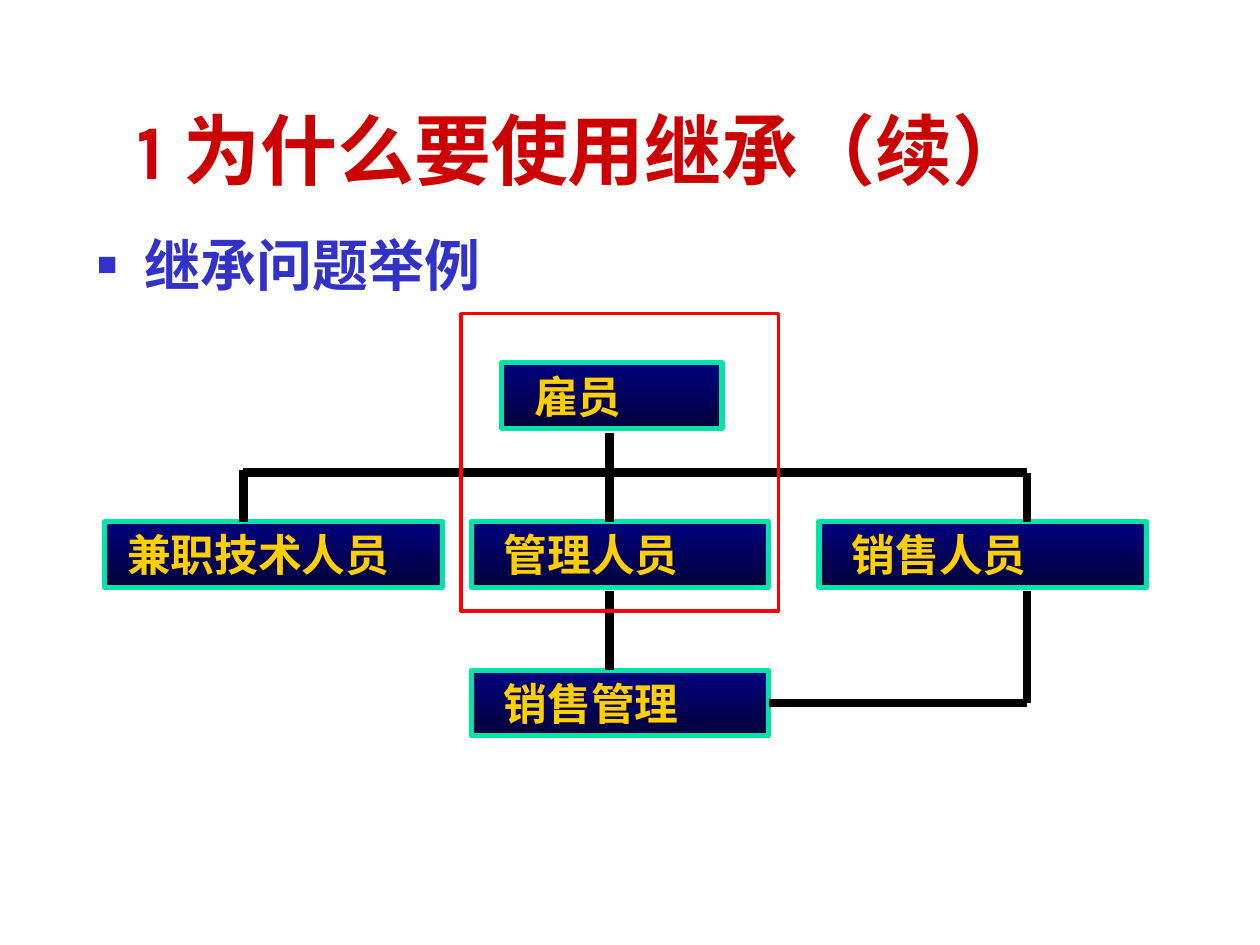
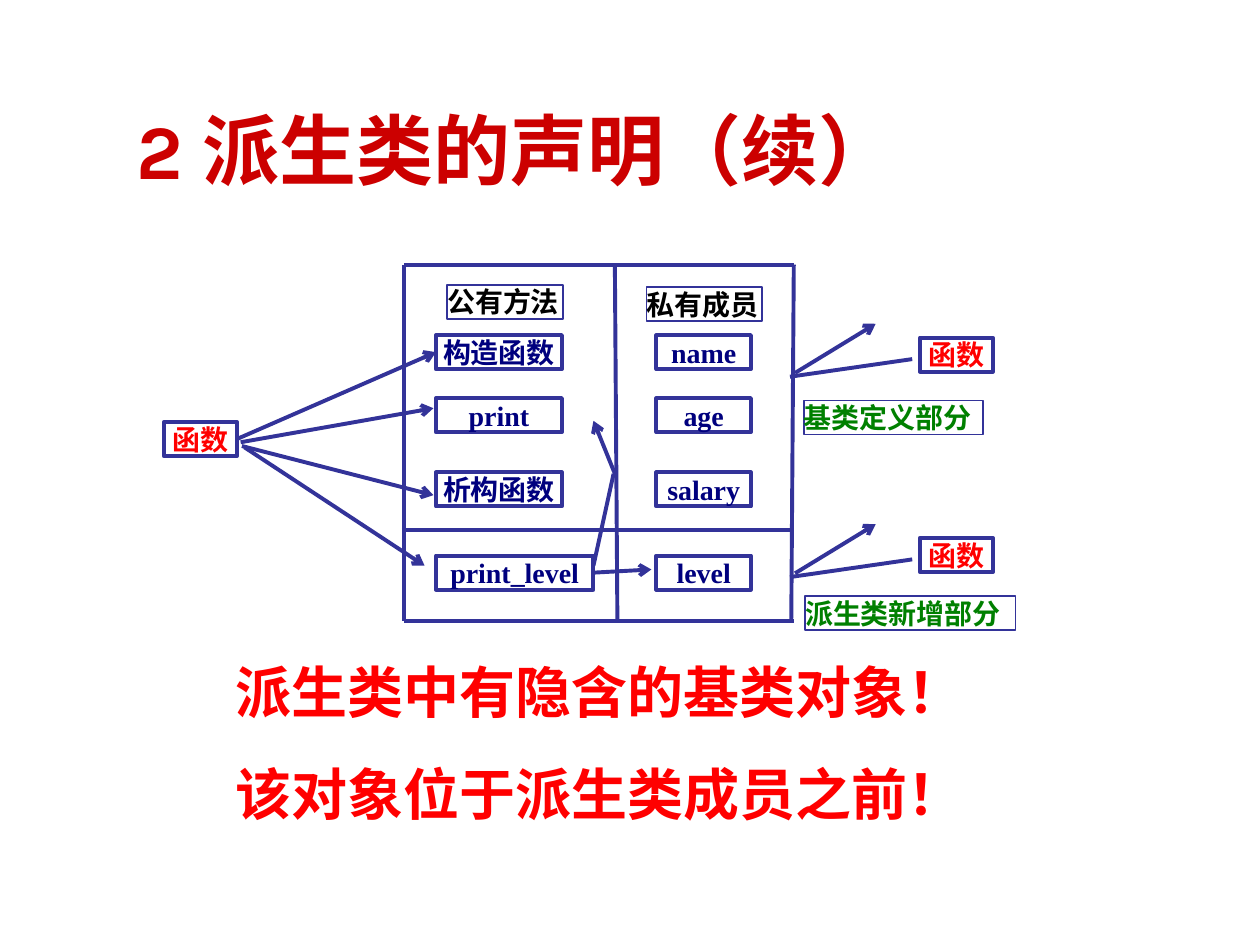
from lxml.etree import SubElement
from pptx import Presentation
from pptx.dml.color import RGBColor
from pptx.enum.shapes import MSO_CONNECTOR as Connector, MSO_SHAPE as Shape
from pptx.enum.text import MSO_ANCHOR as Anchor, MSO_AUTO_SIZE as AutoSize, PP_ALIGN as Align
from pptx.oxml.ns import qn
from pptx.util import Inches, Pt

RED, NAVY, INDIGO, GREEN, BLACK = "FF0000", "00007E", "333399", "008000", "000000"
CJK_FONT = "Noto Sans CJK SC"
TITLE = {"size": 44, "name": "Karla", "color": "CC0000"}
LIST = {"size": 32, "name": "Karla", "color": "3232C8"}
NOTE = {"size": 32, "name": "Karla", "color": RED}
NODE = {"size": 25, "name": CJK_FONT, "color": "FFCF01"}
MEMBER = {"size": 16, "name": "Times New Roman", "color": NAVY}
BOX_HEIGHT = 0.27


def rgb(value):
    return RGBColor.from_string(value)


def assign(target, values):
    for name, value in values.items():
        setattr(target, name, value)


def place(shape, left, top, width, height):
    assign(shape, {"left": Inches(left), "top": Inches(top),
                   "width": Inches(width), "height": Inches(height)})


def format_frame(frame, anchor, insets):
    sides = ("margin_left", "margin_top", "margin_right", "margin_bottom")
    assign(frame, {"word_wrap": True, "auto_size": AutoSize.NONE, "vertical_anchor": anchor})
    assign(frame, dict(zip(sides, map(Inches, insets))))


def write(para, text, style, align=Align.LEFT, before=0):
    assign(para, {"alignment": align, "space_before": Pt(before)})
    span = para.add_run()
    span.text = text
    assign(span.font, {"size": Pt(style["size"]), "name": style["name"], "bold": True})
    span.font.color.rgb = rgb(style["color"])
    SubElement(span._r.get_or_add_rPr(), qn("a:ea"), typeface=CJK_FONT)


def add_bullet(para, indent):
    properties = para._p.get_or_add_pPr()
    properties.set("marL", str(Inches(indent)))
    properties.set("indent", str(-Inches(indent)))
    color = SubElement(properties, qn("a:buClr"))
    SubElement(color, qn("a:srgbClr"), val="3333CC")
    SubElement(properties, qn("a:buSzPct"), val="60000")
    SubElement(properties, qn("a:buChar"), char="■")


def add_page(deck, layout, title):
    page = deck.slides.add_slide(deck.slide_layouts[layout])
    place(page.shapes.title, 0.98, 0.6, 8.52, 1)
    frame = page.shapes.title.text_frame
    format_frame(frame, Anchor.BOTTOM, (0.1, 0.05, 0.1, 0.05))
    write(frame.paragraphs[0], title, TITLE)
    return page


def add_box(page, left, top, width, height, line, weight):
    box = page.shapes.add_shape(Shape.RECTANGLE, *map(Inches, (left, top, width, height)))
    box.shadow.inherit = False
    box.fill.background()
    box.line.color.rgb = rgb(line)
    box.line.width = Pt(weight)
    return box


def add_node(page, text, left, top, width, inset=0.26):
    box = add_box(page, left, top, width, 0.52, "00E4A8", 3)
    box.fill.gradient()
    box.fill.gradient_angle = 270
    for stop, color, position in zip(box.fill.gradient_stops, (NAVY, "00003A"), (0, 1)):
        stop.color.rgb = rgb(color)
        stop.position = position
    format_frame(box.text_frame, Anchor.MIDDLE, (inset, 0, 0.1, 0))
    write(box.text_frame.paragraphs[0], text, NODE)
    return box


def add_member(page, text, left, top, width, color=NAVY, weight=2.25, align=Align.CENTER):
    box = add_box(page, left, top, width, BOX_HEIGHT, INDIGO, weight)
    format_frame(box.text_frame, Anchor.MIDDLE, (0, 0, 0, 0))
    write(box.text_frame.paragraphs[0], text, {**MEMBER, "color": color}, align)
    return box


def add_label(page, text, left, top, width, color):
    return add_member(page, text, left, top, width, color, 1, Align.LEFT)


def add_line(page, start, end, color=INDIGO, weight=2.25, arrow=False):
    line = page.shapes.add_connector(Connector.STRAIGHT, *map(Inches, (*start, *end)))
    line.line.color.rgb = rgb(color)
    line.line.width = Pt(weight)
    properties = line._element.spPr
    if arrow:
        SubElement(properties.find(qn("a:ln")), qn("a:tailEnd"), type="arrow")
    SubElement(properties, qn("a:effectLst"))
    return line


def build_hierarchy(deck):
    page = add_page(deck, 1, "1 为什么要使用继承（续）")
    body = page.placeholders[1]
    place(body, 0.67, 1.78, 9.04, 0.71)
    format_frame(body.text_frame, Anchor.TOP, (0.1, 0.05, 0.1, 0.05))
    para = body.text_frame.paragraphs[0]
    add_bullet(para, 0.38)
    write(para, "继承问题举例", LIST)

    add_node(page, "雇员", 3.98, 2.88, 1.75)
    add_node(page, "兼职技术人员", 0.83, 4.14, 2.68, 0.18)
    add_node(page, "管理人员", 3.74, 4.14, 2.36)
    add_node(page, "销售人员", 6.5, 4.14, 2.6)
    sales_manager = add_node(page, "销售管理", 3.74, 5.32, 2.36)

    left, middle, right = 1.93, 4.84, 8.15
    bus, child_top, child_bottom, manager_side = 3.75, 4.14, 4.69, 5.58
    for start, end in (
        ((left, bus), (right, bus)),
        ((left, bus - 0.02), (left, child_top)),
        ((middle, 3.44), (middle, child_top)),
        ((right, bus), (right, child_top)),
        ((middle, child_bottom), (middle, 5.32)),
        ((right, child_bottom), (right, manager_side)),
    ):
        add_line(page, start, end, BLACK, 5)
    branch = add_line(page, (6.1, manager_side), (right, manager_side), BLACK, 5)
    branch.begin_connect(sales_manager, 3)
    add_box(page, 3.66, 2.49, 2.52, 2.36, RED, 2)


def build_declaration(deck):
    page = add_page(deck, 5, "2 派生类的声明（续）")
    rows = (2.66, 3.16, 3.75, 4.41)
    methods = ("构造函数", "print", "析构函数", "print_level")
    fields = ("name", "age", "salary", "level")
    method_boxes = [add_member(page, text, 3.46, top, width)
                    for text, top, width in zip(methods, rows, (1, 1, 1, 1.25))]
    for text, top in zip(fields, rows):
        add_member(page, text, 5.21, top, 0.75)

    top, bottom = 2.1, 4.93
    for start, end in (
        ((3.21, top), (6.3, top)),
        ((3.21, bottom), (6.3, bottom)),
        ((3.21, top), (3.21, bottom)),
        ((6.3, top), (6.28, bottom)),
        ((3.19, 4.21), (6.27, 4.21)),
        ((4.88, top), (4.9, bottom)),
    ):
        add_line(page, start, end)

    caller = add_member(page, "函数", 1.3, 3.35, 0.58, RED)
    call = add_line(page, (1.88, 3.51), (3.46, 2.76), arrow=True)
    call.begin_connect(caller, 3)
    call.end_connect(method_boxes[0], 1)
    for start, end in (
        ((1.92, 3.54), (3.44, 3.93)),
        ((1.91, 3.51), (3.44, 3.24)),
        ((1.94, 3.55), (3.37, 4.49)),
    ):
        add_line(page, start, end, arrow=True)

    for offset in (0, 1.59):
        add_member(page, "函数", 7.3, 2.68 + offset, 0.58, RED)
        add_line(page, (6.27, 2.99 + offset), (7.24, 2.85 + offset))
        add_line(page, (6.31, 2.96 + offset), (6.95, 2.57 + offset), arrow=True)

    add_label(page, "派生类新增部分", 6.39, 4.73, 1.67, GREEN)
    add_label(page, "基类定义部分", 6.38, 3.18, 1.42, GREEN)
    add_label(page, "公有方法", 3.55, 2.26, 0.92, BLACK)
    add_label(page, "私有成员", 5.13, 2.28, 0.92, BLACK)

    access = add_line(page, (4.71, 4.53), (5.17, 4.52), arrow=True)
    access.begin_connect(method_boxes[3], 3)
    add_line(page, (4.71, 4.49), (4.87, 3.76))
    add_line(page, (4.88, 3.76), (4.71, 3.34), arrow=True)

    notes = page.shapes.add_textbox(*map(Inches, (1.77, 5.17, 7.24, 1.45))).text_frame
    format_frame(notes, Anchor.TOP, (0.1, 0.05, 0.1, 0.05))
    write(notes.paragraphs[0], "派生类中有隐含的基类对象！", NOTE)
    write(notes.add_paragraph(), "该对象位于派生类成员之前！", NOTE, before=20)


def main():
    deck = Presentation()
    assign(deck, {"slide_width": Inches(10), "slide_height": Inches(7.5)})
    build_hierarchy(deck)
    build_declaration(deck)
    deck.save("out.pptx")


if __name__ == "__main__":
    main()
